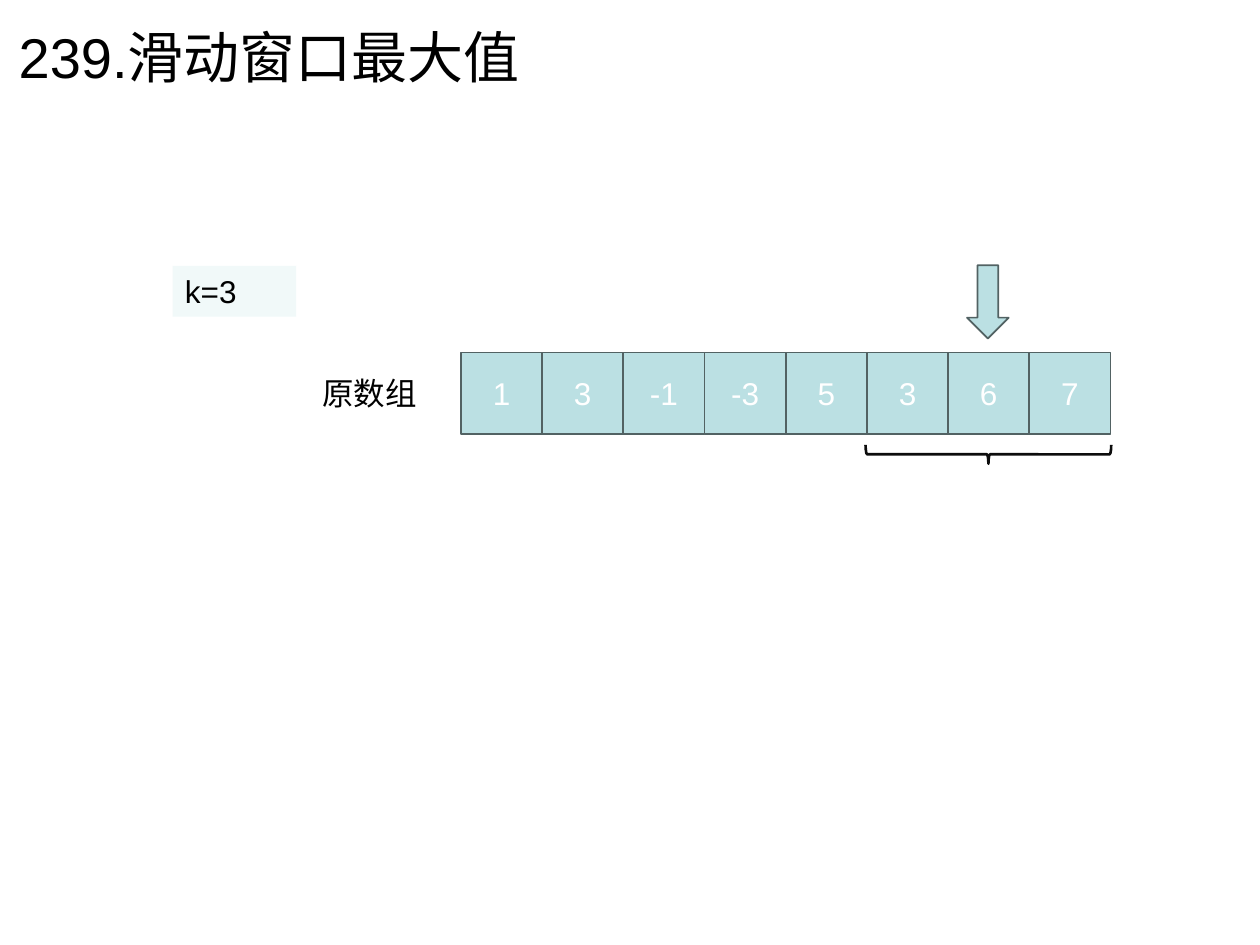
from pptx import Presentation
from pptx.dml.color import RGBColor
from pptx.enum.shapes import MSO_SHAPE
from pptx.enum.text import MSO_ANCHOR, MSO_AUTO_SIZE, PP_ALIGN
from pptx.util import Pt

COLORS = {
    "cell": "BBE0E3", "edge": "526263", "pale": "F1F9F9",
    "ink": "000000", "brace": "0D0D0D", "white": "FFFFFF",
}
LABEL = {"word_wrap": True, "auto_size": MSO_AUTO_SIZE.SHAPE_TO_FIT_TEXT,
         "vertical_anchor": MSO_ANCHOR.TOP}
CENTER = {"word_wrap": True, "vertical_anchor": MSO_ANCHOR.MIDDLE}


def color(name):
    return RGBColor.from_string(COLORS[name])


def apply(target, values):
    for name, value in values.items():
        setattr(target, name, value)


class Canvas:
    def __init__(self, slide, font="Arial", size=18):
        self.slide, self.font, self.size = slide, font, size

    def group(self):
        return self.slide.shapes.add_group_shape().shapes

    def text(self, shape, words, frame, ink="ink", size=None, align=PP_ALIGN.LEFT):
        apply(shape.text_frame, frame)
        para = shape.text_frame.paragraphs[0]
        para.alignment = align
        run = para.add_run()
        run.text = words
        apply(run.font, {"name": self.font, "size": Pt(size or self.size)})
        run.font.color.rgb = color(ink)

    def label(self, words, box, size=None):
        shape = self.slide.shapes.add_textbox(*map(Pt, box))
        self.text(shape, words, LABEL, size=size)

    def shape(self, kind, box, fill=None, line=None, width=1, turn=0, parent=None):
        """Draw a preset shape; box is its frame before the turn."""
        shapes = self.slide.shapes if parent is None else parent
        shape = shapes.add_shape(kind, *map(Pt, box))
        shape.shadow.inherit = False
        shape.rotation = turn
        if fill:
            shape.fill.solid()
            shape.fill.fore_color.rgb = color(fill)
        else:
            shape.fill.background()
        if line:
            shape.line.color.rgb = color(line)
            shape.line.width = Pt(width)
        else:
            shape.line.fill.background()
        return shape

    def array(self, values, left, top, side):
        cells = self.group()
        for i, value in enumerate(values):
            cell = self.shape(MSO_SHAPE.RECTANGLE, (left + i * side, top, side, side),
                              "cell", "edge", parent=cells)
            self.text(cell, str(value), CENTER, "white", align=PP_ALIGN.CENTER)

    def window(self, brace, arrow):
        """Mark the sliding window with a brace below and an arrow above."""
        marks = self.group()
        self.shape(MSO_SHAPE.RIGHT_BRACE, brace, line="brace", width=1.5,
                   turn=90, parent=marks)
        self.shape(MSO_SHAPE.RIGHT_ARROW, arrow, "cell", "edge",
                   turn=90, parent=marks)


def main():
    deck = Presentation()
    apply(deck, {"slide_width": Pt(720), "slide_height": Pt(540)})
    canvas = Canvas(deck.slides.add_slide(deck.slide_layouts[6]))

    canvas.array([1, 3, -1, -3, 5, 3, 6, 7], left=263.4, top=201.5, side=46.4)
    canvas.label("原数组", (177.2, 210.2, 70.6, 29))
    size = canvas.shape(MSO_SHAPE.RECTANGLE, (98.6, 151.9, 70.6, 29), "pale")
    canvas.text(size, "k=3", LABEL)
    canvas.label("239.滑动窗口最大值", (3.6, 9.4, 306, 46), size=32)
    canvas.window(brace=(559.4, 189.4, 10.8, 140.4), arrow=(543.6, 160.6, 41.8, 23.8))

    deck.save("out.pptx")


if __name__ == "__main__":
    main()
